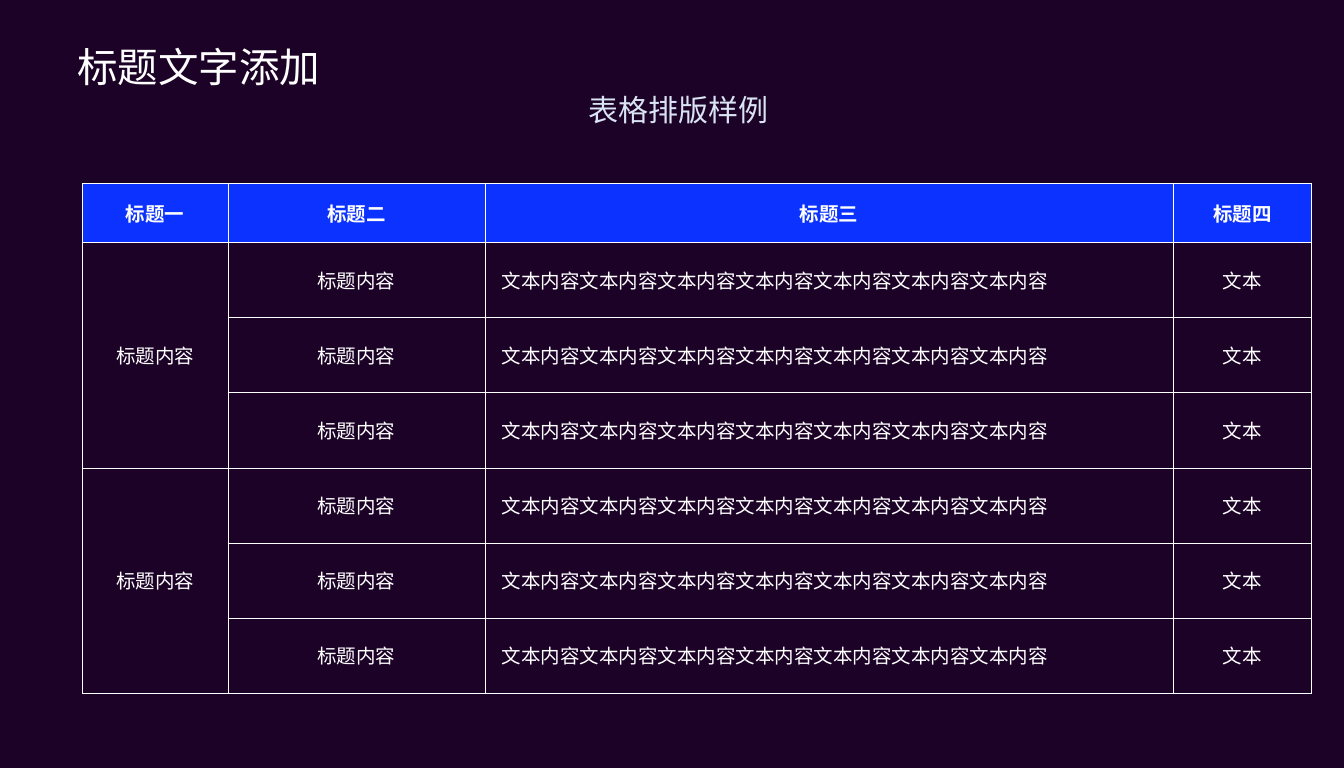
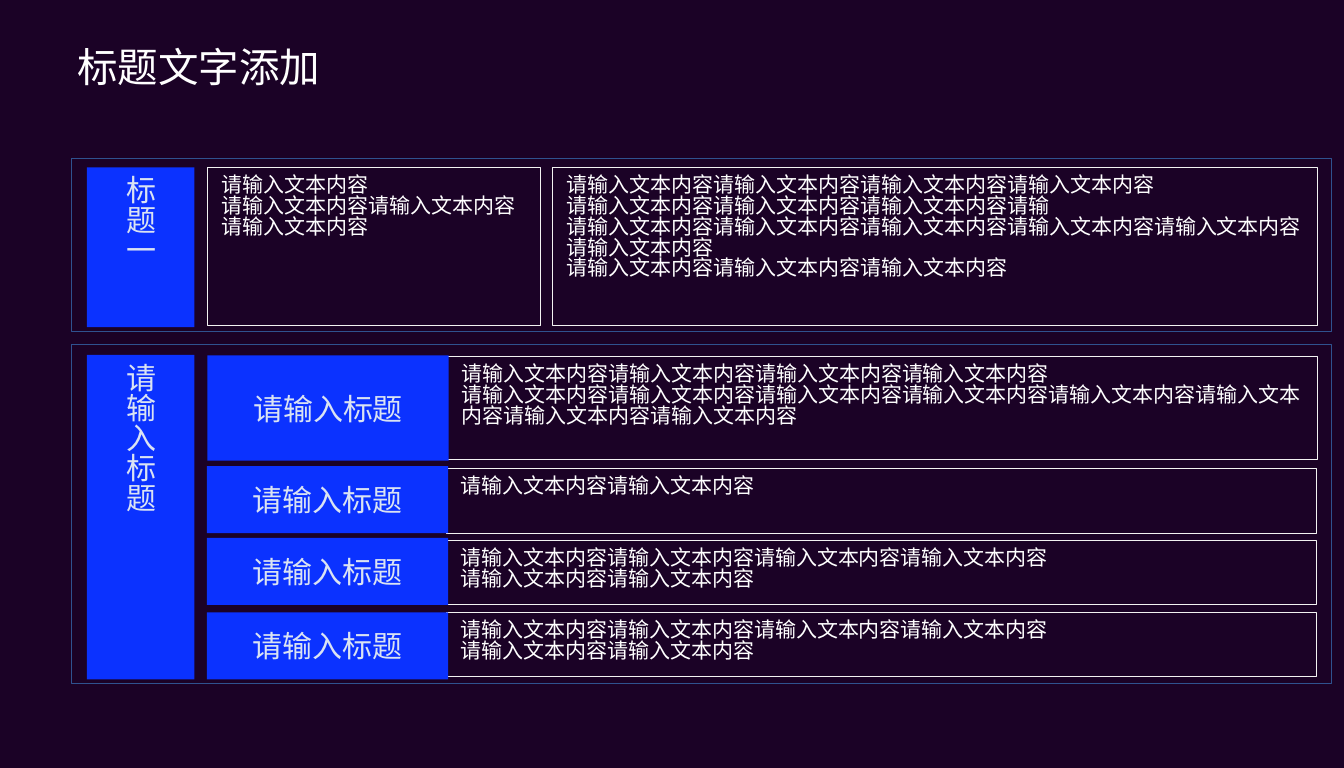
"""Builds two table-layout slides that share one dark style."""
from lxml import etree
from pptx import Presentation
from pptx.dml.color import RGBColor
from pptx.enum.shapes import MSO_SHAPE
from pptx.enum.text import MSO_ANCHOR, PP_ALIGN
from pptx.oxml.ns import qn
from pptx.util import Inches, Pt

NIGHT = RGBColor(0x1B, 0x02, 0x26)
BLUE = RGBColor(0x0B, 0x32, 0xFF)
NAVY = RGBColor(0x2F, 0x52, 0x8F)
WHITE = RGBColor(0xFF, 0xFF, 0xFF)
PALE = RGBColor(0xF2, 0xF2, 0xF2)
ICE = RGBColor(0xDA, 0xE3, 0xF3)
FONT = "Noto Sans CJK SC"
PHRASE = "请输入文本内容"


class Deck:
    def __init__(self):
        self.prs = Presentation()
        self.prs.slide_width, self.prs.slide_height = Inches(24.89), Inches(14.22)
        background = self.prs.slide_master.background.fill
        background.solid()
        background.fore_color.rgb = NIGHT
        self.slide = None

    def new_slide(self, title):
        self.slide = self.prs.slides.add_slide(self.prs.slide_layouts[6])
        self.text(title, (1.33, 0.83, 5.81, 1), 54, WHITE, insets=(0.1, 0.05), spacing=0.9)

    def style(self, frame, size, color, align=PP_ALIGN.LEFT, bold=False, spacing=None):
        for paragraph in frame.paragraphs:
            paragraph.alignment = align
            if spacing:
                paragraph.line_spacing = spacing
            for run in paragraph.runs:
                run.font.size, run.font.bold = Pt(size), bold
                run.font.name, run.font.color.rgb = FONT, color
                east_asian = etree.SubElement(run.font._element, qn("a:ea"))
                east_asian.set("typeface", FONT)

    def fill_frame(self, frame, text, size, color, insets, anchor=MSO_ANCHOR.TOP, **style):
        side, edge = insets
        frame.word_wrap = True
        frame.margin_left = frame.margin_right = Inches(side)
        frame.margin_top = frame.margin_bottom = Inches(edge)
        frame.vertical_anchor = anchor
        frame.text = text
        self.style(frame, size, color, **style)

    def text(self, text, place, size, color, **layout):
        box = self.slide.shapes.add_textbox(*map(Inches, place))
        self.fill_frame(box.text_frame, text, size, color, **layout)

    def rect(self, place, fill=None, line=None):
        shape = self.slide.shapes.add_shape(MSO_SHAPE.RECTANGLE, *map(Inches, place))
        shape.shadow.inherit = False
        if fill is None:
            shape.fill.background()
        else:
            shape.fill.solid()
            shape.fill.fore_color.rgb = fill
        if line is None:
            shape.line.fill.background()
        else:
            shape.line.color.rgb, shape.line.width = line, Pt(1)
        return shape

    def note(self, place, lines):
        frame = self.rect(place, line=PALE).text_frame
        self.fill_frame(frame, "\n".join(lines), 28, WHITE, (0.27, 0.15), spacing=0.83)

    def label(self, place, text, vertical=False):
        frame = self.rect(place, fill=BLUE).text_frame
        self.fill_frame(frame, text, 40, ICE, (0.15, 0.15), MSO_ANCHOR.MIDDLE,
                        align=PP_ALIGN.CENTER)
        if vertical:
            frame._txBody.find(qn("a:bodyPr")).set("vert", "eaVert")

    def borders(self, cell):
        properties = cell._tc.get_or_add_tcPr()
        for side in ("lnL", "lnR", "lnT", "lnB"):
            line = etree.SubElement(properties, qn(f"a:{side}"), w=str(Pt(0.45)))
            solid = etree.SubElement(line, qn("a:solidFill"))
            etree.SubElement(solid, qn("a:srgbClr"), val=str(WHITE))

    def table(self, left, top, widths, heights, rows, merges, left_column):
        size = (left, top, sum(widths), sum(heights))
        table = self.slide.shapes.add_table(
            len(rows), len(widths), *map(Inches, size)).table
        table.first_row = table.horz_banding = False
        for column, width in zip(table.columns, widths):
            column.width = Inches(width)
        for row, height in zip(table.rows, heights):
            row.height = Inches(height)
        for r, values in enumerate(rows):
            for c, value in enumerate(values):
                self.cell(table.cell(r, c), value, r == 0, r > 0 and c == left_column)
        for first, last in merges:
            table.cell(first, 0).merge(table.cell(last, 0))

    def cell(self, cell, value, header, indented):
        self.borders(cell)
        if header:
            cell.fill.solid()
            cell.fill.fore_color.rgb = BLUE
        else:
            cell.fill.background()
        cell.margin_left = Inches(0.31 if indented else 0.01)
        cell.margin_right = Inches(0.01)
        cell.vertical_anchor = MSO_ANCHOR.MIDDLE
        cell.text_frame.text = value
        align = PP_ALIGN.LEFT if indented else PP_ALIGN.CENTER
        self.style(cell.text_frame, 26, WHITE, align, header)


def table_slide(deck):
    deck.new_slide("标题文字添加")
    deck.text("表格排版样例", (1.33, 1.64, 22.48, 0.78), 40, ICE, insets=(0.06, 0.06),
              anchor=MSO_ANCHOR.MIDDLE, align=PP_ALIGN.CENTER)
    rows = [["标题一", "标题二", "标题三", "标题四"]]
    for index in range(6):
        group = "标题内容" if index % 3 == 0 else ""
        rows.append([group, "标题内容", "文本内容" * 7, "文本"])
    deck.table(1.53, 3.4, [2.69, 4.76, 12.75, 2.56], [1.09] + [1.39] * 6, rows,
               merges=[(1, 3), (4, 6)], left_column=2)


def panel_slide(deck):
    deck.new_slide("标题文字添加")
    deck.rect((1.33, 2.94, 23.32, 3.2), line=NAVY)
    deck.label((1.61, 3.1, 1.99, 2.96), "标题一", vertical=True)
    deck.note((3.84, 3.1, 6.16, 2.92), [PHRASE, PHRASE * 3])
    deck.note((10.23, 3.1, 14.17, 2.92),
              [PHRASE * 4, PHRASE * 3 + "请输", PHRASE * 6, PHRASE * 3])

    deck.rect((1.33, 6.38, 23.32, 6.28), line=NAVY)
    deck.label((1.61, 6.57, 1.99, 6.01), "请输入标题", vertical=True)
    entries = [
        ((3.84, 6.58, 1.95), (8.28, 6.6, 1.91), [4, 8]),
        ((3.83, 8.63, 1.24), (8.26, 8.68, 1.19), [2]),
        ((3.83, 9.96, 1.24), (8.26, 10.01, 1.19), [4, 2]),
        ((3.83, 11.34, 1.24), (8.26, 11.34, 1.19), [4, 2]),
    ]
    for heading, body, repeats in entries:
        left, top, height = body
        deck.note((left, top, 16.12, height), [PHRASE * count for count in repeats])
        left, top, height = heading
        deck.label((left, top, 4.47, height), "请输入标题")


def main():
    deck = Deck()
    table_slide(deck)
    panel_slide(deck)
    deck.prs.save("out.pptx")


if __name__ == "__main__":
    main()
